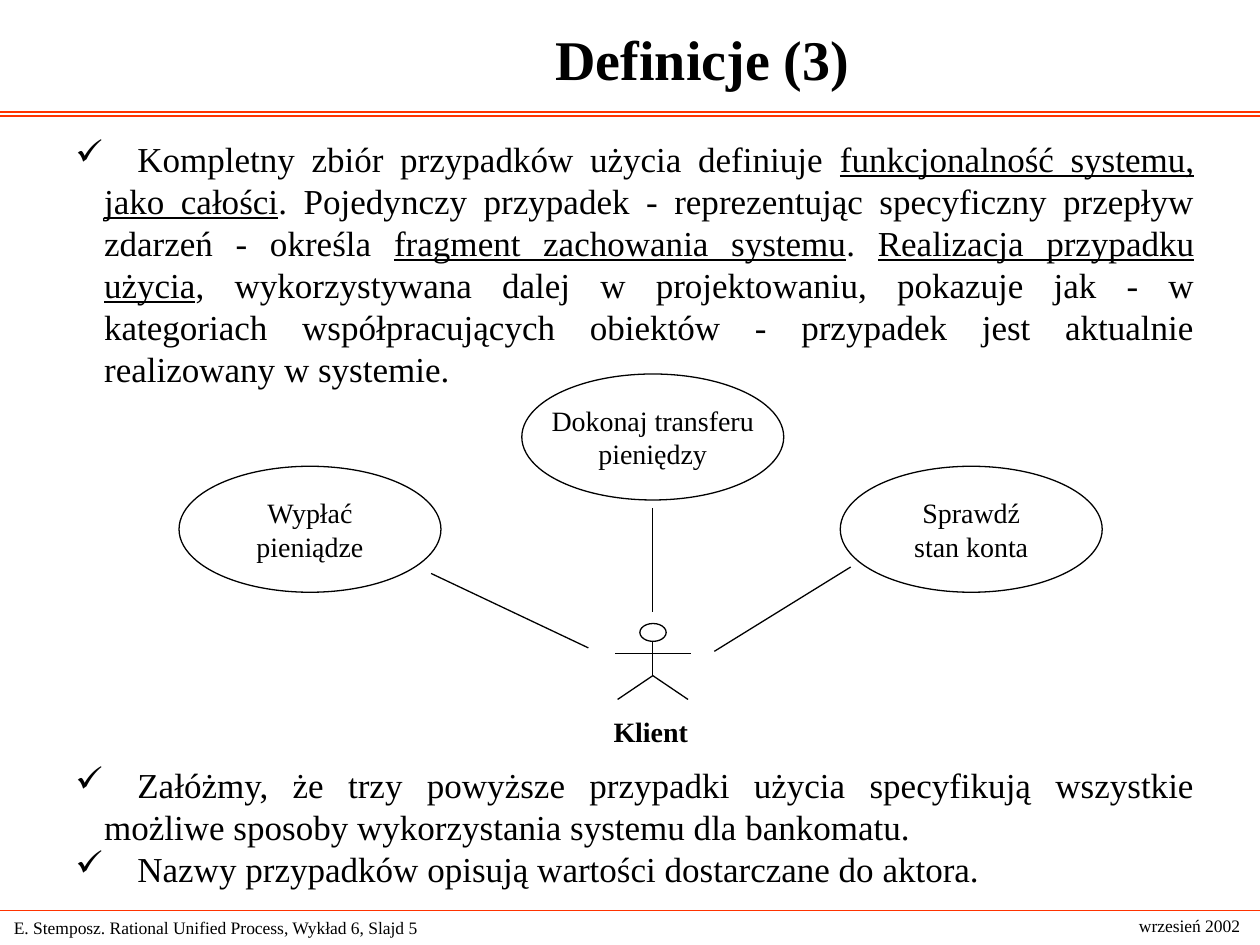
from dataclasses import dataclass

from lxml import etree
from pptx import Presentation
from pptx.dml.color import RGBColor
from pptx.enum.shapes import MSO_CONNECTOR, MSO_SHAPE
from pptx.enum.text import MSO_ANCHOR, PP_ALIGN
from pptx.oxml.ns import qn
from pptx.util import Cm, Pt

OVAL = MSO_SHAPE.OVAL
LINE = MSO_CONNECTOR.STRAIGHT
MID, TOP = MSO_ANCHOR.MIDDLE, MSO_ANCHOR.TOP
LEFT, CENTER, JUST = PP_ALIGN.LEFT, PP_ALIGN.CENTER, PP_ALIGN.JUSTIFY


@dataclass(frozen=True)
class Theme:
    font: str = "Times New Roman"
    ink: RGBColor = RGBColor(0, 0, 0)
    rule: RGBColor = RGBColor(0xFF, 0x33, 0)
    paper: RGBColor = RGBColor(0xFF, 0xFF, 0xFF)
    title: int = 32
    body: int = 20
    label: int = 16
    foot: int = 10
    stroke: float = 0.75


THEME = Theme()
WIDE, HIGH = 25.4, 19.05
MID_X = 13.16

LEAD = [
    ("\tKompletny zbiór przypadków użycia definiuje ", False),
    ("funkcjonalność systemu, jako całości", True),
    (". Pojedynczy przypadek - reprezentując specyficzny przepływ zdarzeń - określa ", False),
    ("fragment zachowania systemu", True),
    (". ", False),
    ("Realizacja przypadku użycia", True),
    (", wykorzystywana dalej w projektowaniu, pokazuje jak - w kategoriach "
     "współpracujących obiektów - przypadek jest aktualnie realizowany w systemie.", False),
]
NOTES = [
    [("\tZałóżmy, że trzy powyższe przypadki użycia specyfikują wszystkie "
      "możliwe sposoby wykorzystania systemu dla bankomatu.", False)],
    [("\tNazwy przypadków opisują wartości dostarczane do aktora.", False)],
]
CASES = [
    (3.61, 9.4, ["Wypłać", "pieniądze"]),
    (10.52, 7.54, ["Dokonaj transferu", "pieniędzy"]),
    (16.94, 9.4, ["Sprawdź", "stan konta"]),
]
LINKS = [
    (8.69, 11.56, 11.86, 13.06),
    (MID_X, 10.24, MID_X, 12.34),
    (14.4, 13.13, 17.15, 11.43),
]
LIMBS = [
    (MID_X, 12.93, MID_X, 13.62),
    (12.4, 13.18, 13.92, 13.18),
    (MID_X, 13.62, 13.87, 14.1),
    (MID_X, 13.62, 12.45, 14.1),
]


def add_run(para, text, size, bold=False, under=False):
    run = para.add_run()
    run.text = text
    font = run.font
    font.name, font.size = THEME.font, Pt(size)
    font.bold, font.underline = bold, under
    font.color.rgb = THEME.ink


def add_mark(para):
    props = para._p.get_or_add_pPr()
    props.set("marL", str(Cm(0.58)))
    props.set("indent", str(-Cm(0.58)))
    etree.SubElement(props, qn("a:buChar"), char="✓")
    tabs = etree.SubElement(props, qn("a:tabLst"))
    etree.SubElement(tabs, qn("a:tab"), pos=str(Cm(1.25)), algn="l")


def fill_text(frame, paras, size, align, bold=False, mark=False):
    for i, runs in enumerate(paras):
        para = frame.add_paragraph() if i else frame.paragraphs[0]
        para.alignment = align
        if mark:
            add_mark(para)
        for text, under in runs:
            add_run(para, text, size, bold, under)


def add_box(slide, spot, paras, size, align=LEFT, anchor=TOP, wrap=True, **style):
    frame = slide.shapes.add_textbox(*map(Cm, spot)).text_frame
    frame.word_wrap, frame.vertical_anchor = wrap, anchor
    fill_text(frame, paras, size, align, **style)


def add_line(slide, ends, color=THEME.ink):
    line = slide.shapes.add_connector(LINE, *map(Cm, ends))
    line.line.color.rgb, line.line.width = color, Pt(THEME.stroke)
    etree.SubElement(line._element.spPr, qn("a:effectLst"))


def add_oval(slide, spot, words=()):
    oval = slide.shapes.add_shape(OVAL, *map(Cm, spot))
    oval.shadow.inherit = False
    oval.fill.solid()
    oval.fill.fore_color.rgb = THEME.paper
    oval.line.color.rgb, oval.line.width = THEME.ink, Pt(THEME.stroke)
    frame = oval.text_frame
    frame.word_wrap, frame.vertical_anchor = False, MID
    fill_text(frame, [[(word, False)] for word in words], THEME.label, CENTER)


def set_title(slide, text):
    title = slide.shapes.title
    title.left, title.top, title.width, title.height = map(Cm, (2.95, 0, 22.43, 2.34))
    title.text_frame.vertical_anchor = MID
    fill_text(title.text_frame, [[(text, False)]], THEME.title, CENTER, bold=True)


def add_frame(slide):
    for y in (2.26, 2.34, 18.36):
        add_line(slide, (0, y, WIDE, y), THEME.rule)
    add_box(slide, (0.03, 18.36, 11.38, 0.69),
            [[("E. Stemposz. Rational Unified Process, Wykład 6, Slajd 5", False)]],
            THEME.foot, anchor=MID)
    add_box(slide, (22.66, 18.31, 2.64, 0.69), [[("wrzesień 2002", False)]],
            THEME.foot, CENTER, MID, wrap=False)


def add_actor(slide):
    add_oval(slide, (12.9, 12.57, 0.53, 0.36))
    for ends in LIMBS:
        add_line(slide, ends)
    add_box(slide, (12.12, 14.27, 2.01, 0.94), [[("Klient", False)]],
            THEME.label, wrap=False, bold=True)


def main():
    deck = Presentation()
    deck.slide_width, deck.slide_height = Cm(WIDE), Cm(HIGH)
    slide = deck.slides.add_slide(deck.slide_layouts[5])
    add_frame(slide)
    set_title(slide, "Definicje (3)")
    add_box(slide, (1.27, 2.64, 23.06, 5.33), [LEAD], THEME.body, JUST, mark=True)
    add_box(slide, (1.27, 15.27, 23.06, 2.79), NOTES, THEME.body, JUST, mark=True)
    add_actor(slide)
    for x, y, words in CASES:
        add_oval(slide, (x, y, 5.28, 2.54), words)
    for ends in LINKS:
        add_line(slide, ends)
    deck.save("out.pptx")


if __name__ == "__main__":
    main()
